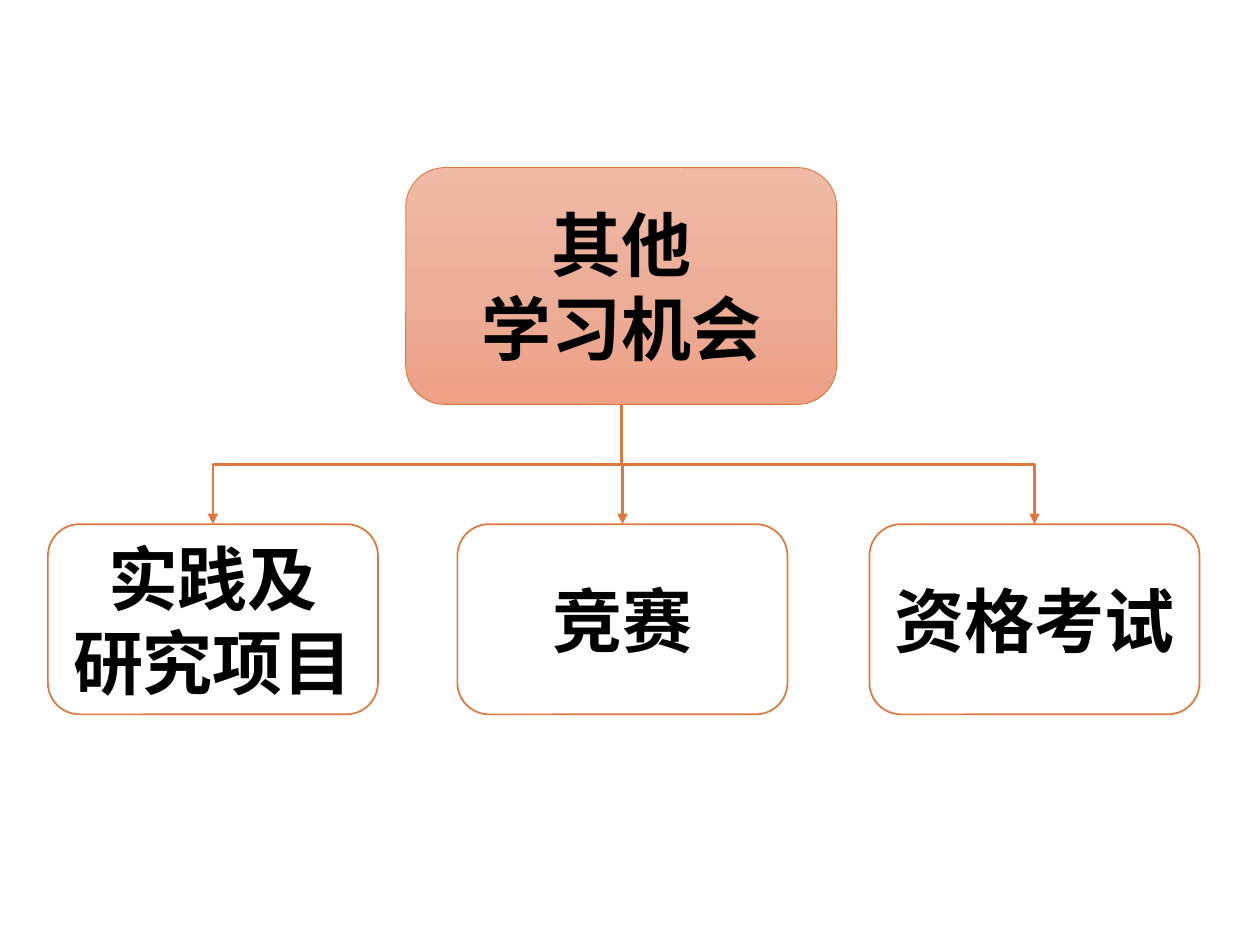
import copy
from dataclasses import dataclass

import pptx
import pptx.dml.color
import pptx.enum.shapes
import pptx.enum.text
import pptx.oxml.ns
import pptx.util
from lxml import etree

Inches = pptx.util.Inches
Pt = pptx.util.Pt
qn = pptx.oxml.ns.qn
BOTTOM_SITE, TOP_SITE = 2, 0


@dataclass(frozen=True)
class Theme:
    font: str = "Calibri"
    text_size: int = 40
    text: str = "000000"
    accent: str = "E0773C"
    card: str = "FFFFFF"
    gradient: tuple = ("F0BAA7", "ECAE99", "EDA185")


THEME = Theme()


def color(value):
    return pptx.dml.color.RGBColor.from_string(value)


def fill_gradient(shape, colors):
    shape.fill.gradient()
    shape.fill.gradient_angle = 270
    first = shape.fill.gradient_stops[0]
    first.color.rgb = color(colors[0])
    shape.fill.gradient_stops[1].color.rgb = color(colors[2])
    stop_list = shape._element.spPr.find(qn("a:gradFill")).find(qn("a:gsLst"))
    stop_list.insert(1, copy.deepcopy(stop_list[0]))
    middle = shape.fill.gradient_stops[1]
    middle.position = 0.5
    middle.color.rgb = color(colors[1])


def add_box(slide, lines, left, top, width, height, line_width):
    shape = slide.shapes.add_shape(
        pptx.enum.shapes.MSO_SHAPE.ROUNDED_RECTANGLE,
        Inches(left), Inches(top), Inches(width), Inches(height))
    shape.shadow.inherit = False
    shape.fill.solid()
    shape.fill.fore_color.rgb = color(THEME.card)
    shape.line.color.rgb = color(THEME.accent)
    shape.line.width = Pt(line_width)
    frame = shape.text_frame
    frame.word_wrap = True
    frame.vertical_anchor = pptx.enum.text.MSO_ANCHOR.MIDDLE
    frame.text = "\n".join(lines)
    for paragraph in frame.paragraphs:
        paragraph.alignment = pptx.enum.text.PP_ALIGN.CENTER
        paragraph.font.name = THEME.font
        paragraph.font.size = Pt(THEME.text_size)
        paragraph.font.bold = True
        paragraph.font.color.rgb = color(THEME.text)
    return shape


def add_branch(slide, parent, child):
    start_x = parent.left + parent.width // 2
    start_y = parent.top + parent.height
    end_x = child.left + child.width // 2
    drop = child.top - start_y
    spread = abs(end_x - start_x)
    if spread < Inches(0.01):
        spread = 0
    connector = slide.shapes.add_connector(
        pptx.enum.shapes.MSO_CONNECTOR.ELBOW, start_x, start_y, end_x, child.top)
    connector.begin_connect(parent, BOTTOM_SITE)
    connector.end_connect(child, TOP_SITE)
    connector.left = (start_x + end_x - drop) // 2
    connector.top = start_y + (drop - spread) // 2
    connector.width, connector.height = drop, spread
    goes_right = spread > 0 and end_x > start_x
    transform = connector._element.spPr.find(qn("a:xfrm"))
    transform.set("rot", str((270 if goes_right else 90) * 60000))
    transform.set("flipH", "1" if goes_right else "0")
    transform.set("flipV", "0")
    connector.line.color.rgb = color(THEME.accent)
    connector.line.width = Pt(1.5)
    line = connector._element.spPr.find(qn("a:ln"))
    etree.SubElement(line, qn("a:tailEnd"), type="triangle")
    etree.SubElement(connector._element.spPr, qn("a:effectLst"))


def main():
    presentation = pptx.Presentation()
    presentation.slide_width = Inches(10)
    presentation.slide_height = Inches(7.5)
    slide = presentation.slides.add_slide(presentation.slide_layouts[6])
    root = add_box(slide, ["其他", "学习机会"], 3.22, 1.33, 3.42, 1.88, 0.5)
    fill_gradient(root, THEME.gradient)
    topics = [
        (0.38, ["实践及", "研究项目"]),
        (3.63, ["竞赛"]),
        (6.9, ["资格考试"]),
    ]
    for left, lines in topics:
        topic = add_box(slide, lines, left, 4.16, 2.62, 1.51, 1)
        add_branch(slide, root, topic)
    presentation.save("out.pptx")


main()
